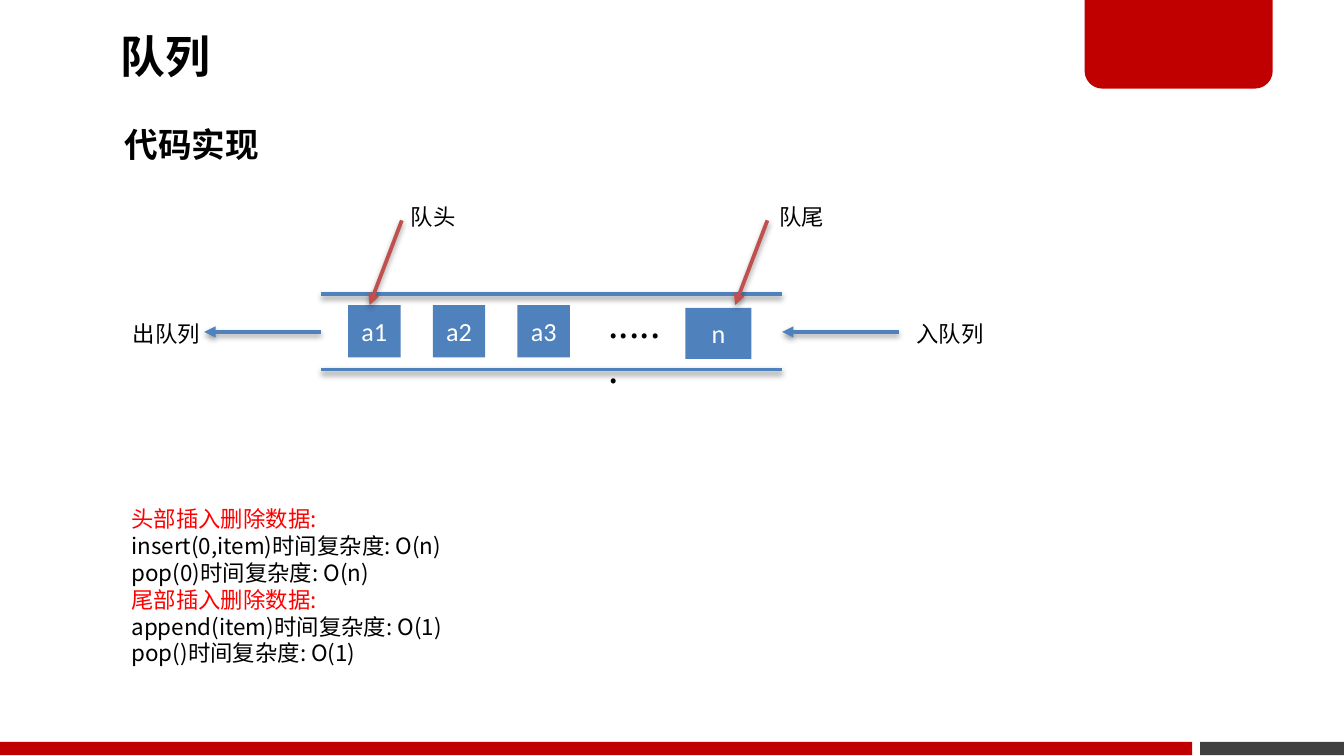
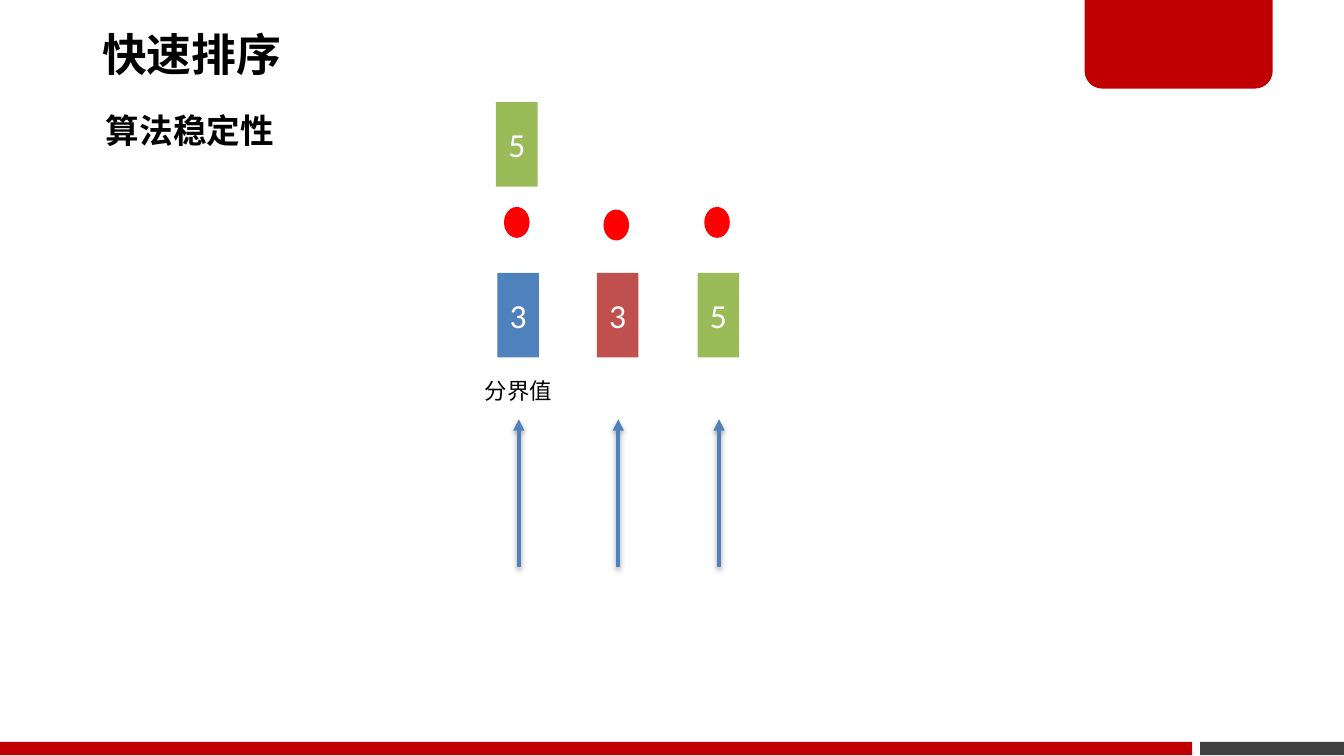
from lxml.etree import SubElement
from pptx import Presentation
from pptx.dml.color import RGBColor
from pptx.enum.shapes import MSO_CONNECTOR, MSO_SHAPE
from pptx.enum.text import MSO_ANCHOR, PP_ALIGN
from pptx.oxml import parse_xml
from pptx.oxml.ns import nsdecls, qn
from pptx.util import Inches, Pt

SCALE = 9144
COLORS = {
    "black": "000000", "white": "FFFFFF", "red": "FF0000", "brand": "C00000",
    "gray": "404040", "blue": "4F81BD", "brick": "C0504D", "green": "9BBB59",
}
CJK = "Noto Sans CJK SC"
LATIN = "Calibri"
SHADOW = (
    f'<a:effectLst {nsdecls("a")}><a:outerShdw blurRad="39370" dist="20320" dir="5400000" '
    'rotWithShape="0"><a:srgbClr val="000000"><a:alpha val="38000"/></a:srgbClr>'
    '</a:outerShdw></a:effectLst>'
)


class Deck:
    """Holds the shared style and the current slide."""

    def __init__(self):
        self.prs = Presentation()
        self.prs.slide_width = Inches(10)
        self.prs.slide_height = self.prs.slide_width * 9 // 16
        self.s = None

    def emu(self, *px):
        return [n * SCALE for n in px]

    def rgb(self, color):
        return RGBColor.from_string(COLORS[color])

    def style(self, p, size, color, font=CJK, bold=False):
        f = p.font
        f.size, f.bold, f.name = Pt(size), bold, font
        f.color.rgb = self.rgb(color)
        SubElement(p._p.pPr.find(qn("a:defRPr")), qn("a:ea"), typeface=font)

    def slide(self, title, subtitle, left, title_top, subtitle_top):
        self.s = self.prs.slides.add_slide(self.prs.slide_layouts[6])
        self.shape(893, 552, 107, 10, "gray")
        tab = self.shape(807, 0, 140, 66, "brand", kind=MSO_SHAPE.ROUND_2_SAME_RECTANGLE)
        tab.adjustments[0], tab.adjustments[1] = 0, 0.2
        self.shape(0, 552, 887, 10, "brand")
        self.title(title, left, title_top)
        self.text(left, subtitle_top, 21 + 25 * len(subtitle), 40, [(subtitle, "black")], 18, True)

    def title(self, words, left, top):
        tf = self.s.shapes.add_textbox(*self.emu(left, top, 589, 89)).text_frame
        tf.word_wrap, tf.vertical_anchor = True, MSO_ANCHOR.MIDDLE
        tf.margin_left, tf.margin_top, tf.margin_right, tf.margin_bottom = self.emu(7, 4, 7, 4)
        p = tf.paragraphs[0]
        p.text, p.line_spacing = words, 0.9
        self.style(p, 24, "black", bold=True)

    def text(self, x, y, w, h, lines, size=12, bold=False):
        tf = self.s.shapes.add_textbox(*self.emu(x, y, w, h)).text_frame
        tf.word_wrap = True
        for i, (words, color) in enumerate(lines):
            p = tf.add_paragraph() if i else tf.paragraphs[0]
            p.text, p.line_spacing = words, Pt(size * 1.2)
            self.style(p, size, color, bold=bold)

    def label(self, x, y, words):
        self.text(x, y, 20 + 17 * len(words), 30, [(words, "black")])

    def shape(self, x, y, w, h, color, words="", size=14, kind=MSO_SHAPE.RECTANGLE):
        sp = self.s.shapes.add_shape(kind, *self.emu(x, y, w, h))
        sp.shadow.inherit = False
        sp.fill.solid()
        sp.fill.fore_color.rgb = self.rgb(color)
        sp.line.fill.background()
        if words:
            tf = sp.text_frame
            tf.margin_left = tf.margin_right = 0
            tf.vertical_anchor = MSO_ANCHOR.MIDDLE
            p = tf.paragraphs[0]
            p.text, p.alignment = words, PP_ALIGN.CENTER
            self.style(p, size, "white", LATIN)
        return sp

    def line(self, x1, y1, x2, y2, color="blue", arrow=True):
        c = self.s.shapes.add_connector(MSO_CONNECTOR.STRAIGHT, *self.emu(x1, y1, x2, y2))
        c.line.color.rgb, c.line.width = self.rgb(color), Pt(2)
        if arrow:
            SubElement(c.line._get_or_add_ln(), qn("a:tailEnd"), type="triangle")
        c._element.spPr.append(parse_xml(SHADOW))


def queue(d):
    d.slide("队列", "代码实现", 83, -1, 87)
    d.text(88, 371, 255, 151, [
        ("头部插入删除数据:", "red"),
        ("insert(0,item)时间复杂度: O(n)", "black"),
        ("pop(0)时间复杂度: O(n)", "black"),
        ("尾部插入删除数据:", "red"),
        ("append(item)时间复杂度: O(1)", "black"),
        ("pop()时间复杂度: O(1)", "black"),
    ])
    for y in (219, 275):
        d.line(239, y, 582, y, arrow=False)
    for i, item in enumerate(("a1", "a2", "a3")):
        d.shape(259 + 63 * i, 227, 39, 39, "blue", item)
    d.shape(510, 229, 49, 38, "blue", "n")
    d.text(443, 219, 61, 44, [("......", "black")], 20)
    for x, words, label_x in ((299, "队头", 296), (571, "队尾", 570)):
        d.line(x, 164, x - 24, 227, "brick")
        d.label(label_x, 146, words)
    for x, words, label_x in ((669, "入队列", 672), (239, "出队列", 89)):
        d.line(x, 247, x - 87, 247)
        d.label(label_x, 233, words)


def quick_sort(d):
    d.slide("快速排序", "算法稳定性", 69, -2, 77)
    d.shape(369, 76, 31, 63, "green", "5", 18)
    columns = (("3", "blue", 154), ("3", "brick", 156), ("5", "green", 154))
    for i, (value, color, dot_y) in enumerate(columns):
        x = 370 + 149 * i // 2
        d.shape(x, 203, 31, 63, color, value, 18)
        d.shape(x + 5, dot_y, 19, 23, "red", kind=MSO_SHAPE.OVAL)
        d.line(x + 16, 422, x + 16, 312)
    d.label(351, 276, "分界值")


def main():
    d = Deck()
    queue(d)
    quick_sort(d)
    d.prs.save("out.pptx")


if __name__ == "__main__":
    main()
